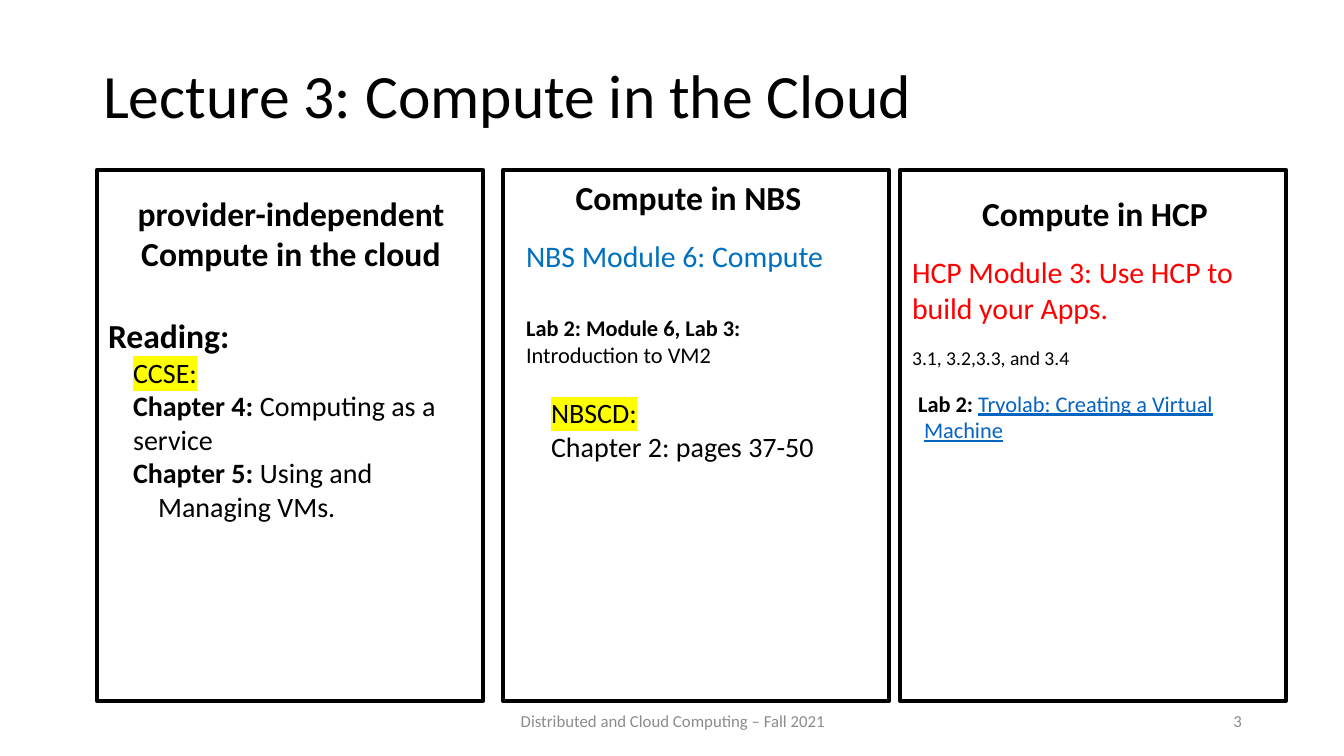
"""Build the lecture overview slide: a title, three framed columns and a footer."""
from dataclasses import dataclass

from lxml import etree
from pptx import Presentation
from pptx.dml.color import RGBColor
from pptx.enum.shapes import MSO_SHAPE
from pptx.enum.text import MSO_ANCHOR, MSO_AUTO_SIZE, PP_ALIGN
from pptx.oxml.ns import qn
from pptx.util import Emu, Pt

RECTANGLE = MSO_SHAPE.RECTANGLE
TOP, MIDDLE = MSO_ANCHOR.TOP, MSO_ANCHOR.MIDDLE
LEFT, CENTER, RIGHT = PP_ALIGN.LEFT, PP_ALIGN.CENTER, PP_ALIGN.RIGHT
NO_AUTOFIT = MSO_AUTO_SIZE.NONE
COMPARISON_LAYOUT = 4


@dataclass(frozen=True)
class Theme:
    """Colours, font and type sizes of the slide."""
    font: str = "Calibri"
    black: str = "000000"
    blue: str = "0070C0"
    red: str = "FF0000"
    link: str = "0563C1"
    grey: str = "8C8C8C"
    marker: str = "FFFF00"
    title: float = 44
    heading: float = 24
    module: float = 21.3
    reading: float = 20
    lab: float = 16
    detail: float = 14
    footer: float = 12
    frame: float = 3


THEME = Theme()
SLIDE_SIZE = (1344, 756)
TITLE = ("Lecture 3: Compute in the Cloud", (93, 26, 1159, 146))

HEADING = {"size": THEME.heading, "bold": True}
READING = {"size": THEME.reading}
READING_BOLD = {**READING, "bold": True}
MARKED = {**READING, "highlight": THEME.marker}
LAB = {"size": THEME.lab}
LAB_BOLD = {**LAB, "bold": True}
CENTERED = {"align": CENTER}
INDENTED = {"margin": 25}
HANGING = {"margin": 50, "indent": -25}

COLUMNS = [
    ((98, 188, 386, 430), [
        (CENTERED, [("provider-independent Compute in the cloud", HEADING)]),
        ({"before": 29.3}, [("Reading:", HEADING)]),
        (INDENTED, [("CCSE:", MARKED)]),
        (INDENTED, [("Chapter 4:", READING_BOLD), (" Computing as a service", READING)]),
        (HANGING, [("Chapter 5:", READING_BOLD), (" Using and Managing VMs.", READING)]),
    ]),
    ((516, 172, 345, 447), [
        (CENTERED, [("Compute in NBS", HEADING)]),
        ({"before": 14.6}, [("NBS Module 6: Compute", {"size": THEME.module, "color": THEME.blue})]),
        ({"before": 29.3}, [("Lab 2: Module 6, Lab 3: ", LAB_BOLD), ("Introduction to VM2", LAB)]),
        ({**HANGING, "before": 19.5}, [("NBSCD:", MARKED)]),
        (HANGING, [("Chapter 2: pages 37-50", READING)]),
    ]),
    ((902, 188, 386, 331), [
        (CENTERED, [("Compute in HCP", HEADING)]),
        ({"before": 14.6}, [("HCP Module 3: Use HCP to build your Apps.",
                             {"size": THEME.module, "color": THEME.red})]),
        ({"before": 14.6}, [("3.1, 3.2,3.3, and 3.4", {"size": THEME.detail})]),
        ({"margin": 12, "indent": -6, "before": 14.6},
         [("Lab 2: ", LAB_BOLD),
          ("Tryolab: Creating a Virtual Machine", {**LAB, "color": THEME.link, "underline": True})]),
    ]),
]
FRAME_LEFTS = (97, 503, 900)
FRAME_TOP, FRAME_WIDTH, FRAME_HEIGHT = 170, 386, 531
FOOTERS = [
    ("Distributed and Cloud Computing – Fall 2021", (446, 701, 454, 40), CENTER),
    ("3", (950, 701, 302, 40), RIGHT),
]


def px(length):
    return Emu(round(length * 914400 / 100.8))


def set_format(target, values):
    for name, value in values.items():
        setattr(target, name, value)


def place(shape, bounds):
    set_format(shape, dict(zip(("left", "top", "width", "height"), map(px, bounds))))


def add_span(para, text, size, color=THEME.black, bold=False, underline=False, highlight=None):
    span = para.add_run()
    span.text = text
    span.font.color.rgb = RGBColor.from_string(color)
    if highlight:
        marker = etree.SubElement(span.font.fill._xPr, qn("a:highlight"))
        etree.SubElement(marker, qn("a:srgbClr"), val=highlight)
    set_format(span.font, {"name": THEME.font, "size": Pt(size), "bold": bold,
                           "underline": underline})


def fill_text(box, paragraphs, anchor):
    frame = box.text_frame
    set_format(frame, {"word_wrap": True, "auto_size": NO_AUTOFIT, "vertical_anchor": anchor})
    for index, (style, spans) in enumerate(paragraphs):
        para = frame.add_paragraph() if index else frame.paragraphs[0]
        properties = para._p.get_or_add_pPr()
        properties.set("marL", str(px(style.get("margin", 0))))
        properties.set("indent", str(px(style.get("indent", 0))))
        etree.SubElement(properties, qn("a:buNone"))
        set_format(para, {"alignment": style.get("align", LEFT),
                          "line_spacing": style.get("spacing", 1.0),
                          "space_before": Pt(style.get("before", 0)),
                          "space_after": Pt(0)})
        for text, look in spans:
            add_span(para, text, **look)


def add_frame(page, left):
    frame = page.shapes.add_shape(RECTANGLE, px(left), px(FRAME_TOP), px(FRAME_WIDTH), px(FRAME_HEIGHT))
    frame.shadow.inherit = False
    frame.fill.background()
    frame.line.color.rgb = RGBColor.from_string(THEME.black)
    frame.line.width = Pt(THEME.frame)


def main():
    deck = Presentation()
    deck.slide_width, deck.slide_height = map(px, SLIDE_SIZE)
    page = deck.slides.add_slide(deck.slide_layouts[COMPARISON_LAYOUT])
    title, *bodies = list(page.placeholders)

    text, bounds = TITLE
    place(title, bounds)
    fill_text(title, [({"spacing": 0.9}, [(text, {"size": THEME.title})])], MIDDLE)

    for box, (bounds, paragraphs) in zip(bodies, COLUMNS):
        place(box, bounds)
        fill_text(box, paragraphs, TOP)
    for spare in bodies[len(COLUMNS):]:
        spare.element.getparent().remove(spare.element)

    for left in FRAME_LEFTS:
        add_frame(page, left)

    for text, bounds, align in FOOTERS:
        box = page.shapes.add_textbox(*map(px, bounds))
        look = {"size": THEME.footer, "color": THEME.grey}
        fill_text(box, [({"align": align}, [(text, look)])], MIDDLE)

    deck.save("out.pptx")


if __name__ == "__main__":
    main()
